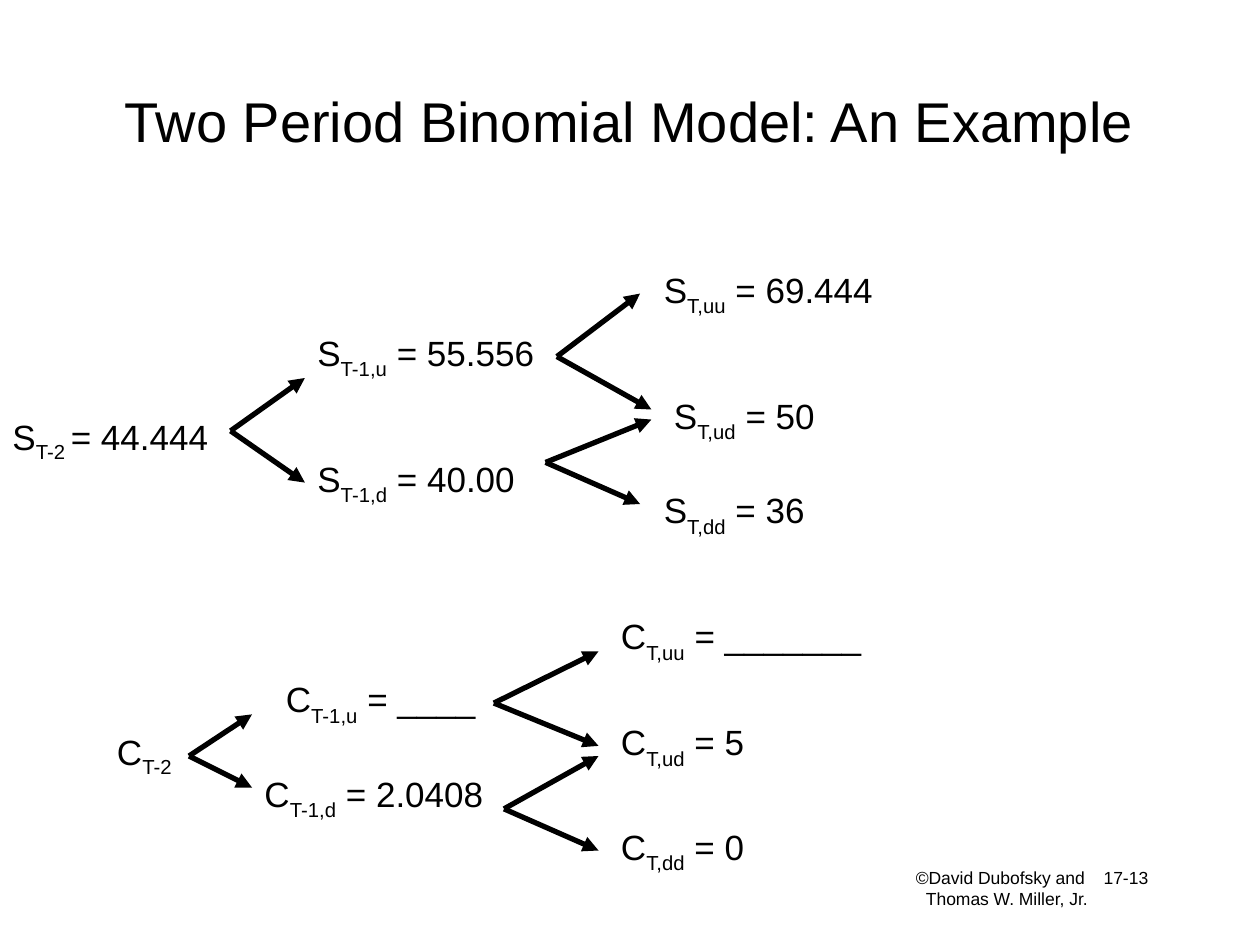
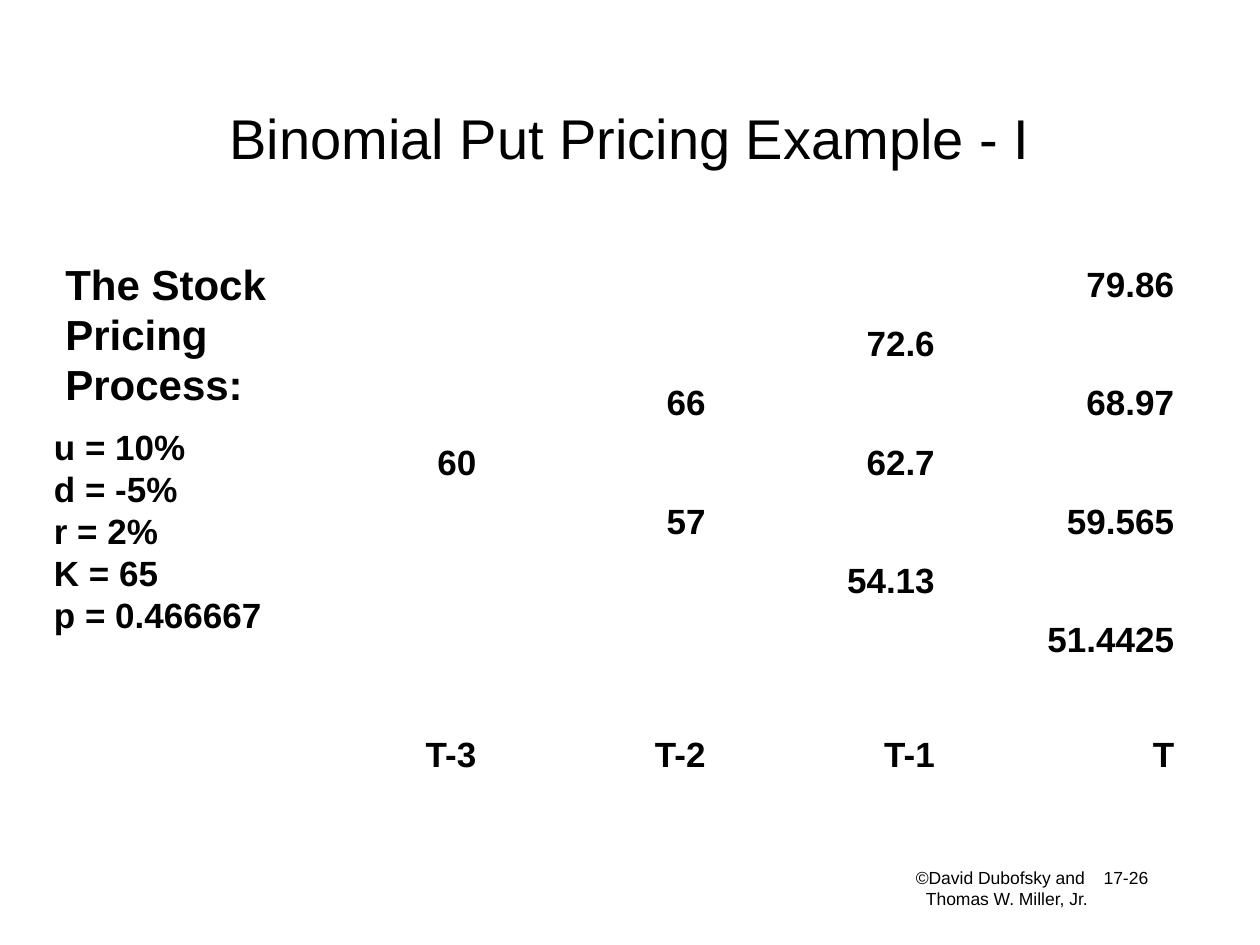
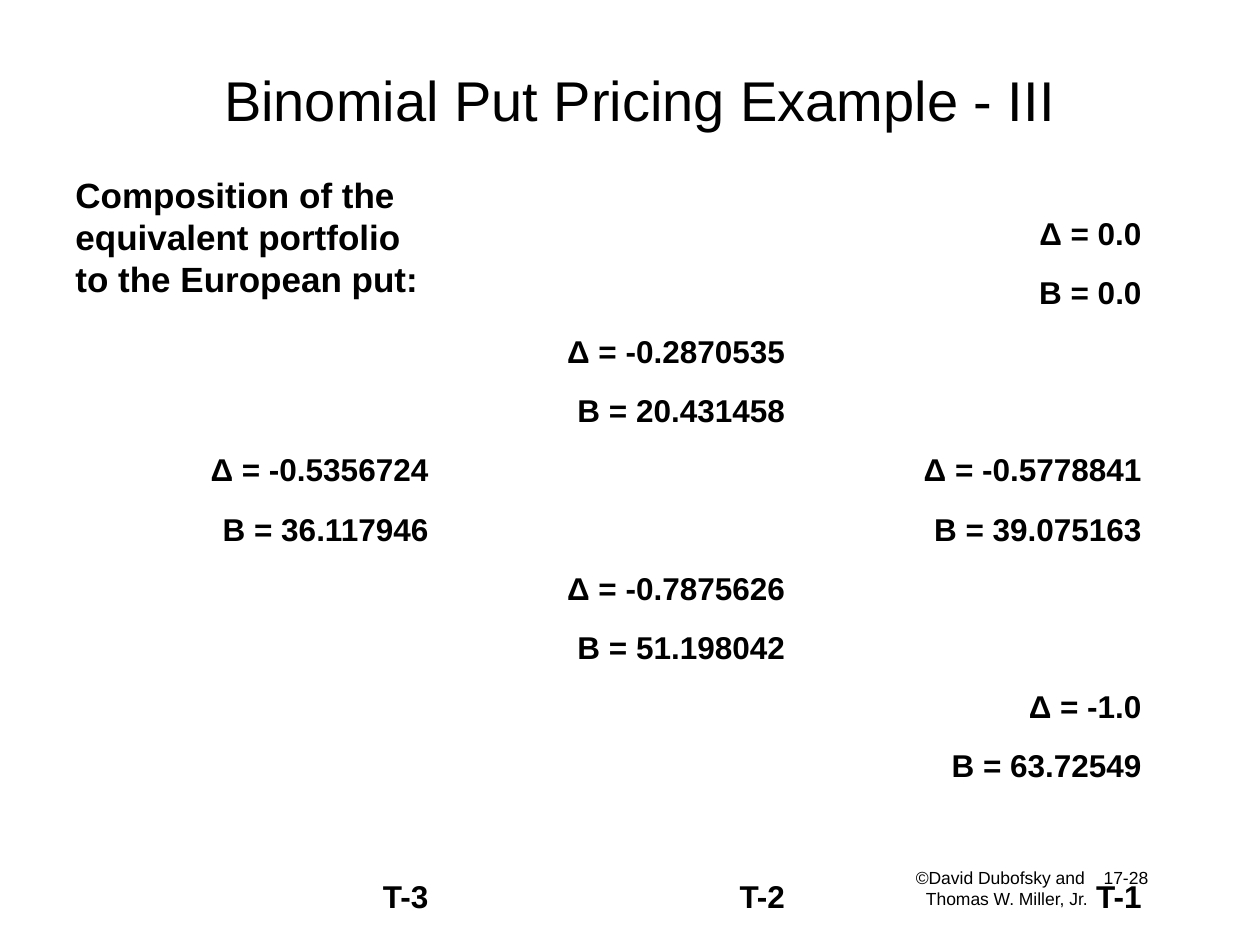
"""Build three slides on binomial option pricing."""
from lxml.etree import SubElement
from pptx import Presentation
from pptx.dml.color import RGBColor
from pptx.enum.shapes import MSO_CONNECTOR as Connector
from pptx.enum.text import MSO_ANCHOR as Anchor, MSO_AUTO_SIZE as AutoSize, PP_ALIGN as Align
from pptx.oxml.ns import qn
from pptx.util import Inches, Pt

COLORS = {"paper": "FFFFFF", "ink": "000000"}
FONT = "Arial"
PLAIN_TABLE = "{2D5ABB26-0587-4C30-8999-92F81FD0307C}"
ROW_HEIGHT = 0.47


class Lesson:
    def __init__(self):
        self.deck = Presentation()
        self.deck.slide_width, self.deck.slide_height = Inches(10), Inches(7.5)
        self.page = None

    def color(self, name):
        return RGBColor.from_string(COLORS[name])

    def style(self, para, size, bold=False, align=Align.LEFT):
        para.alignment = align
        font = para.font
        font.name, font.size, font.bold = FONT, Pt(size), bold
        font.color.rgb = self.color("ink")

    def start(self, title, number, at):
        self.page = self.deck.slides.add_slide(self.deck.slide_layouts[5])
        fill = self.page.background.fill
        fill.solid()
        fill.fore_color.rgb = self.color("paper")
        heading = self.page.shapes.title
        heading.left, heading.top, heading.width, heading.height = map(Inches, at)
        frame = heading.text_frame
        frame.text, frame.vertical_anchor = title, Anchor.MIDDLE
        self.style(frame.paragraphs[0], 32, align=Align.CENTER)
        self.footer(number)

    def frame(self, at):
        box = self.page.shapes.add_textbox(*map(Inches, at))
        box.text_frame.word_wrap = True
        return box.text_frame

    def footer(self, number):
        frame = self.frame((7.17, 6.83, 2.08, 0.5))
        frame.text = f"©David Dubofsky and\t{number}\nThomas W. Miller, Jr."
        first, second = frame.paragraphs
        tabs = SubElement(first._p.get_or_add_pPr(), qn("a:tabLst"))
        SubElement(tabs, qn("a:tab"), pos=str(Inches(1.49)), algn="l")
        second._p.get_or_add_pPr().set("marL", str(Inches(0.08)))
        for para in frame.paragraphs:
            self.style(para, 10)

    def text(self, words, at, size=20):
        frame = self.frame(at)
        frame.text, frame.auto_size = words, AutoSize.SHAPE_TO_FIT_TEXT
        for para in frame.paragraphs:
            self.style(para, size, bold=True)

    def symbol(self, letter, subscript, value, at, drop=-30):
        frame = self.frame(at)
        frame.auto_size = AutoSize.SHAPE_TO_FIT_TEXT
        para = frame.paragraphs[0]
        self.style(para, 20)
        for words, baseline in ((letter, 0), (subscript, drop), (value, 0)):
            if words:
                span = para.add_run()
                span.text = words
                if baseline:
                    span._r.get_or_add_rPr().set("baseline", str(baseline * 1000))

    def fork(self, origin, *tips):
        for tip in tips:
            arrow = self.page.shapes.add_connector(
                Connector.STRAIGHT, *map(Inches, origin + tip))
            arrow.line.width = Pt(3)
            arrow.line.color.rgb = self.color("ink")
            SubElement(arrow.line._get_or_add_ln(), qn("a:tailEnd"), type="triangle")
            SubElement(arrow._element.spPr, qn("a:effectLst"))

    def lattice(self, steps, labels, left, top, widths, gap, size):
        """Spread each step's nodes around the middle row, with labels below."""
        lines = len(steps[0][0])
        middle = len(steps) - 1
        body = (2 * middle + 1) * lines
        heights = [ROW_HEIGHT] * body + [gap, ROW_HEIGHT]
        table = self.page.shapes.add_table(
            len(heights), len(widths), Inches(left), Inches(top),
            Inches(sum(widths)), Inches(sum(heights))).table
        table.first_row = table.horz_banding = False
        table._tbl.tblPr.find(qn("a:tableStyleId")).text = PLAIN_TABLE
        for column, width in zip(table.columns, widths):
            column.width = Inches(width)
        for row, height in zip(table.rows, heights):
            row.height = Inches(height)
        for cell in table.iter_cells():
            cell.fill.background()
        for step, (nodes, label) in enumerate(zip(steps, labels)):
            self.cell(table.cell(body + 1, step), label, size)
            for place, node in enumerate(nodes):
                first = (middle - step + 2 * place) * lines
                for line, words in enumerate(node):
                    self.cell(table.cell(first + line, step), words, size)

    def cell(self, cell, words, size):
        cell.text, cell.vertical_anchor = words, Anchor.BOTTOM
        self.style(cell.text_frame.paragraphs[0], size, bold=True, align=Align.RIGHT)


def two_period(lesson):
    lesson.start("Two Period Binomial Model: An Example", "17-13", (0.58, 0.33, 8.83, 1.25))
    forks = [
        ((1.83, 3.42), (2.42, 3), (2.42, 3.83)),
        ((4.42, 2.83), (5.08, 2.33), (5.17, 3.25)),
        ((4.33, 3.67), (5.17, 3.33), (5.08, 4)),
        ((1.5, 6), (2, 5.67), (2, 6.25)),
        ((3.92, 5.58), (4.75, 5.17), (4.75, 5.92)),
        ((4, 6.42), (4.75, 6), (4.75, 6.75)),
    ]
    for fork in forks:
        lesson.fork(*fork)
    nodes = [
        ("S", "T,dd", "36", 5.17, 3.83, 2.42),
        ("S", "T,uu", "69.444", 5.17, 2.08, 2.5),
        ("S", "T-1,u", "55.556", 2.42, 2.58, 2.33),
        ("S", "T,ud", "50", 5.25, 3.08, 3.08),
        ("S", "T-1,d", "40.00", 2.42, 3.58, 1.92),
        ("C", "T,dd", "0", 4.83, 6.5, 2),
        ("C", "T,uu", "_______", 4.83, 4.83, 2.92),
        ("C", "T-1,u", "____", 2.17, 5.33, 2),
        ("C", "T,ud", "5", 4.83, 5.67, 2),
        ("C", "T-1,d", "2.0408", 2, 6.08, 2.25),
    ]
    for letter, subscript, value, left, top, width in nodes:
        lesson.symbol(letter, subscript, f" = {value}", (left, top, width, 0.5))
    lesson.symbol("S", "T-2 ", "= 44.444", (0, 3.25, 2, 0.48), drop=-25)
    lesson.symbol("C", "T-2", "", (0.83, 5.75, 0.75, 0.48), drop=-25)


def stock_prices(lesson):
    lesson.start("Binomial Put Pricing Example - I", "17-26", (0.75, 0.42, 8.5, 1.33))
    steps = [
        [("60",)],
        [("66",), ("57",)],
        [("72.6",), ("62.7",), ("54.13",)],
        [("79.86",), ("68.97",), ("59.565",), ("51.4425",)],
    ]
    lesson.lattice(steps, ["T-3", "T-2", "T-1", "T"], 2.06, 2,
                   [1.82, 1.82, 1.82, 1.9], gap=0.44, size=20)
    lesson.text("The Stock Pricing Process:", (0.42, 2, 2.58, 1.3), size=24)
    lesson.text("u = 10%\nd = -5%\nr = 2%\nK = 65\np = 0.466667", (0.33, 3.33, 2, 2.28))


def equivalent_portfolio(lesson):
    lesson.start("Binomial Put Pricing Example - III", "17-28", (0.83, 0.33, 8.5, 0.92))
    holdings = [
        [("-0.5356724", "36.117946")],
        [("-0.2870535", "20.431458"), ("-0.7875626", "51.198042")],
        [("0.0", "0.0"), ("-0.5778841", "39.075163"), ("-1.0", "63.72549")],
    ]
    steps = [[(f"Δ = {delta}", f"B = {bond}") for delta, bond in nodes] for nodes in holdings]
    lesson.lattice(steps, ["T-3", "T-2", "T-1"], 0.67, 1.58, [2.83] * 3, gap=0.57, size=18)
    lesson.text("Composition of the equivalent portfolio to the European put:",
                (0.5, 1.33, 3.08, 1.1))


def main():
    lesson = Lesson()
    two_period(lesson)
    stock_prices(lesson)
    equivalent_portfolio(lesson)
    lesson.deck.save("out.pptx")


if __name__ == "__main__":
    main()
